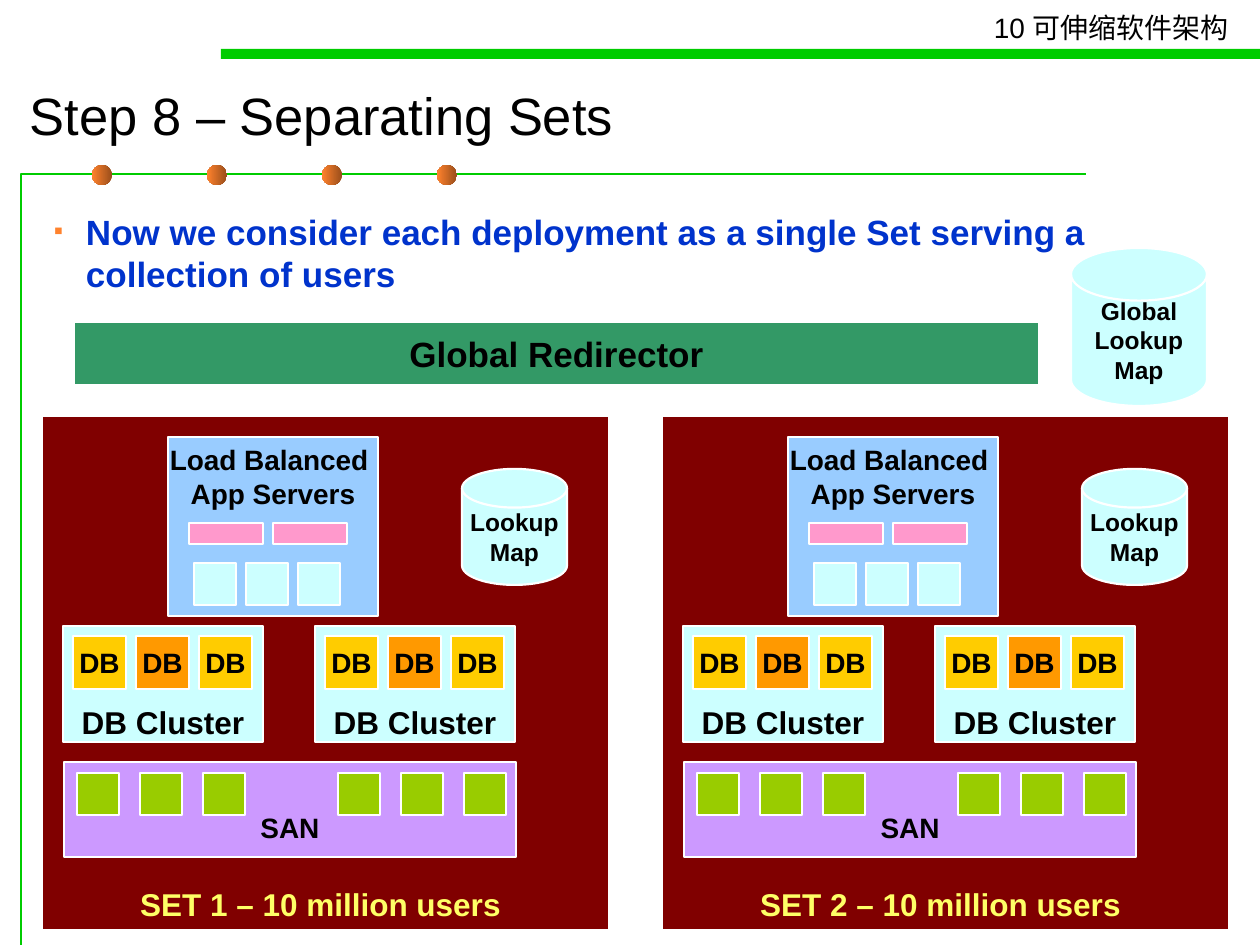
from lxml.etree import SubElement
from pptx import Presentation
from pptx.dml.color import RGBColor
from pptx.enum.shapes import MSO_SHAPE as Shape
from pptx.enum.text import MSO_ANCHOR as Anchor, PP_ALIGN as Align
from pptx.oxml.ns import qn
from pptx.util import Pt

EMU_PER_PX = 914400 / 126

BLACK = RGBColor(0x00, 0x00, 0x00)
WHITE = RGBColor(0xFF, 0xFF, 0xFF)
GREEN = RGBColor(0x00, 0xCC, 0x00)
BROWN = RGBColor(0x9A, 0x4E, 0x1B)
ORANGE = RGBColor(0xFF, 0x82, 0x2D)
BLUE = RGBColor(0x00, 0x33, 0xCC)
MAROON = RGBColor(0x80, 0x00, 0x00)
SKY = RGBColor(0x99, 0xCC, 0xFF)
ICE = RGBColor(0xCC, 0xFF, 0xFF)
PINK = RGBColor(0xFF, 0x99, 0xCC)
GOLD = RGBColor(0xFF, 0xCC, 0x00)
AMBER = RGBColor(0xFF, 0x99, 0x00)
VIOLET = RGBColor(0xCC, 0x99, 0xFF)
LIME = RGBColor(0x99, 0xCC, 0x00)
TEAL = RGBColor(0x33, 0x99, 0x66)
YELLOW = RGBColor(0xFF, 0xFF, 0x66)


def px(length):
    return round(length * EMU_PER_PX)


def set_attributes(target, formats):
    for name, value in formats.items():
        setattr(target, name, value)


def write(holder, paragraphs, size, color=BLACK, bold=True, align=Align.CENTER, **frame_formats):
    frame = holder.text_frame
    margins = {"margin_left": px(12), "margin_right": px(12),
               "margin_top": px(6), "margin_bottom": px(6)}
    set_attributes(frame, margins | {"word_wrap": False} | frame_formats)
    for index, words in enumerate(paragraphs):
        paragraph = frame.paragraphs[0] if index == 0 else frame.add_paragraph()
        paragraph.text = words
        paragraph.alignment = align
        for run in paragraph.runs:
            set_attributes(run.font, {"name": "Arial", "size": Pt(size), "bold": bold})
            run.font.color.rgb = color


def add_text(shapes, box, words, size, **formats):
    holder = shapes.add_textbox(*map(px, box))
    write(holder, [words], size, **{"word_wrap": True} | formats)
    return holder


def add_block(shapes, box, color, kind=Shape.RECTANGLE, outline=WHITE):
    block = shapes.add_shape(kind, *map(px, box))
    block.shadow.inherit = False
    block.fill.solid()
    block.fill.fore_color.rgb = color
    if outline is None:
        block.line.fill.background()
    else:
        block.line.color.rgb = outline
        block.line.width = Pt(1.25)
    return block


def add_disk(shapes, box, paragraphs):
    disk = add_block(shapes, box, ICE, Shape.FLOWCHART_MAGNETIC_DISK)
    write(disk, paragraphs, 14, vertical_anchor=Anchor.MIDDLE)


def add_frame(shapes):
    builder = shapes.build_freeform(21, 945, scale=EMU_PER_PX)
    builder.add_line_segments([(21, 174), (1086, 174)], close=False)
    frame = builder.convert_to_shape()
    frame.shadow.inherit = False
    frame.fill.background()
    frame.line.color.rgb = GREEN
    frame.line.width = Pt(0.75)


def add_dot(shapes, left):
    dot = add_block(shapes, (left, 165, 20, 20), ORANGE, Shape.OVAL, outline=None)
    dot.fill.gradient()
    dot.fill.gradient_angle = 180
    for stop, color, position in zip(dot.fill.gradient_stops, (BROWN, ORANGE), (0, 1)):
        stop.color.rgb = color
        stop.position = position


def add_bullet(paragraph, mark, color):
    properties = paragraph._p.get_or_add_pPr()
    properties.set("marL", str(px(32)))
    properties.set("indent", str(-px(32)))
    bullet_color = SubElement(properties, qn("a:buClr"))
    SubElement(bullet_color, qn("a:srgbClr")).set("val", str(color))
    SubElement(properties, qn("a:buSzPct")).set("val", "75000")
    SubElement(properties, qn("a:buFont")).set("typeface", "Arial")
    SubElement(properties, qn("a:buChar")).set("char", mark)


def add_app_servers(shapes, left):
    group = shapes.add_group_shape().shapes
    servers = add_block(group, (left, 437, 210, 179), SKY)
    write(servers, ["Load Balanced \nApp Servers"], 16, vertical_anchor=Anchor.TOP)
    for column in range(3):
        add_block(group, (left + 26 + 52 * column, 563, 42, 42), ICE)
    for column in range(2):
        add_block(group, (left + 21 + 84 * column, 523, 74, 21), PINK)


def add_db_cluster(shapes, left):
    group = shapes.add_group_shape().shapes
    cluster = add_block(group, (left, 626, 200, 116), ICE)
    write(cluster, ["DB Cluster"], 18, vertical_anchor=Anchor.BOTTOM, margin_bottom=px(1))
    for column, color in enumerate((GOLD, AMBER, GOLD)):
        database = add_block(group, (left + 10 + 63 * column, 636, 53, 53), color)
        write(database, ["DB"], 16, vertical_anchor=Anchor.MIDDLE)


def add_san(shapes, left):
    group = shapes.add_group_shape().shapes
    storage = add_block(group, (left, 762, 452, 95), VIOLET)
    write(storage, ["SAN"], 16, vertical_anchor=Anchor.BOTTOM, margin_bottom=px(13))
    for bank in range(2):
        for column in range(3):
            add_block(group, (left + 13 + 261 * bank + 63 * column, 773, 42, 42), LIME)


def add_set(shapes, left, number):
    add_block(shapes, (left, 416, 567, 514), MAROON)
    add_app_servers(shapes, left + 126)
    for column in range(2):
        add_db_cluster(shapes, left + 21 + 252 * column)
    add_disk(shapes, (left + 420, 469, 105, 116), ["Lookup", "Map"])
    add_san(shapes, left + 22)
    add_text(shapes, (left + 11, 879, 535, 50),
             f"SET {number} – 10 million users", 18, color=YELLOW)


def main():
    deck = Presentation()
    deck.slide_width, deck.slide_height = px(1260), px(945)
    shapes = deck.slides.add_slide(deck.slide_layouts[6]).shapes

    add_frame(shapes)
    for index in range(4):
        add_dot(shapes, 92 + 115 * index)
    add_block(shapes, (221, 49, 1039, 10), GREEN, outline=None)
    add_text(shapes, (982, 5, 266, 47), "10 可伸缩软件架构", 16, bold=False,
             align=Align.LEFT, word_wrap=False)
    add_text(shapes, (18, 70, 1171, 89), "Step 8 – Separating Sets", 30, bold=False,
             align=Align.LEFT, vertical_anchor=Anchor.MIDDLE)

    for index in range(2):
        add_set(shapes, 42 + 620 * index, index + 1)

    redirector = add_block(shapes, (74, 322, 965, 63), TEAL)
    write(redirector, ["Global Redirector"], 20, vertical_anchor=Anchor.MIDDLE)
    add_disk(shapes, (1071, 248, 136, 158), ["Global", "Lookup", "Map"])
    message = add_text(
        shapes, (42, 204, 1187, 120),
        "Now we consider each deployment as a single Set serving a collection of users",
        20, color=BLUE, align=Align.LEFT)
    add_bullet(message.text_frame.paragraphs[0], "▪", ORANGE)

    deck.save("out.pptx")


if __name__ == "__main__":
    main()
